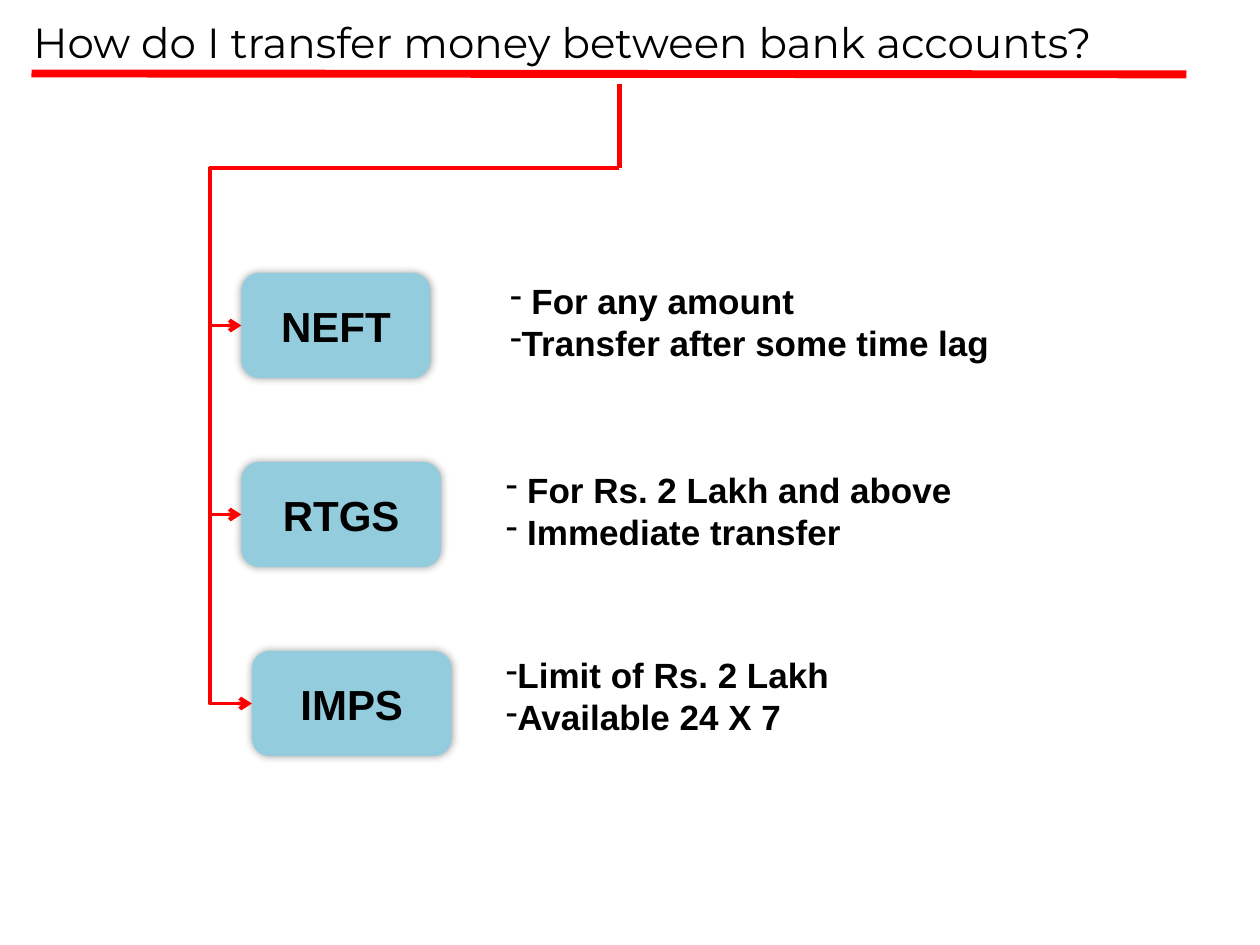
import pptx
import pptx.dml.color
import pptx.enum.shapes
import pptx.enum.text
import pptx.oxml
import pptx.util
from pptx.oxml.ns import nsdecls, qn

Pt = pptx.util.Pt


def color(hex_value):
    return pptx.dml.color.RGBColor.from_string(hex_value)


def drawing_xml(tag, attributes="", content=""):
    """Return a DrawingML element with the given attributes and inner XML."""
    return pptx.oxml.parse_xml(
        f'<a:{tag} {nsdecls("a")} {attributes}>{content}</a:{tag}>')


class TransferSlide:
    RED, BLUE, BLACK = "FF0000", "93CDDD", "000000"
    TITLE = {"name": "Montserrat", "size": Pt(24), "bold": False}
    LABEL = {"name": "Arial", "size": Pt(24), "bold": True}
    NOTE = {"name": "Arial", "size": Pt(20), "bold": True}
    SHADOW = ('<a:outerShdw blurRad="63500" dist="0" algn="ctr" rotWithShape="0">'
              '<a:srgbClr val="000000"><a:alpha val="40000"/></a:srgbClr>'
              '</a:outerShdw>')

    def __init__(self, deck):
        self.slide = deck.slides.add_slide(deck.slide_layouts[6])

    def styled_run(self, paragraph, text, style):
        run = paragraph.add_run()
        run.text = text
        for attribute, value in style.items():
            setattr(run.font, attribute, value)
        run.font.color.rgb = color(self.BLACK)

    def text(self, left, top, width, height, lines, style, bullet=None):
        frame = self.slide.shapes.add_textbox(
            Pt(left), Pt(top), Pt(width), Pt(height)).text_frame
        frame.word_wrap = True
        frame.auto_size = pptx.enum.text.MSO_AUTO_SIZE.SHAPE_TO_FIT_TEXT
        for index, line in enumerate(lines):
            paragraph = frame.add_paragraph() if index else frame.paragraphs[0]
            self.styled_run(paragraph, line, style)
            if bullet:
                properties = paragraph._p.get_or_add_pPr()
                properties.append(drawing_xml("buFontTx"))
                properties.append(drawing_xml("buChar", f'char="{bullet}"'))

    def box(self, left, top, width, height, label):
        box = self.slide.shapes.add_shape(
            pptx.enum.shapes.MSO_SHAPE.ROUNDED_RECTANGLE,
            Pt(left), Pt(top), Pt(width), Pt(height))
        box.fill.solid()
        box.fill.fore_color.rgb = color(self.BLUE)
        box.line.fill.background()
        box._element.spPr.append(drawing_xml("effectLst", content=self.SHADOW))
        box.text_frame.vertical_anchor = pptx.enum.text.MSO_ANCHOR.MIDDLE
        paragraph = box.text_frame.paragraphs[0]
        paragraph.alignment = pptx.enum.text.PP_ALIGN.CENTER
        self.styled_run(paragraph, label, self.LABEL)

    def line(self, start, end, weight, kind="STRAIGHT"):
        connector = self.slide.shapes.add_connector(
            pptx.enum.shapes.MSO_CONNECTOR[kind],
            *(Pt(value) for value in (*start, *end)))
        connector.line.color.rgb = color(self.RED)
        connector.line.width = Pt(weight)
        connector._element.spPr.append(drawing_xml("effectLst"))
        return connector

    def branch(self, start, end, spine):
        """Draw an elbow arrow that runs down the vertical line at x = spine."""
        arrow = self.line(start, end, 2.25, "ELBOW")
        bend = round(100000 * (start[0] - spine) / (start[0] - end[0]))
        guides = arrow._element.spPr.find(qn("a:prstGeom")).get_or_add_avLst()
        guides.append(drawing_xml("gd", f'name="adj1" fmla="val {bend}"'))
        arrow.line._get_or_add_ln().append(drawing_xml("tailEnd", 'type="arrow"'))


def main():
    deck = pptx.Presentation()
    deck.slide_width, deck.slide_height = Pt(720), Pt(540)
    page = TransferSlide(deck)

    page.text(12, 6, 708, 36, ["How do I transfer money between bank accounts?"],
              page.TITLE)
    page.line((18, 42), (678, 42.5), 4.5)

    junction, spine = (354, 96), 120
    page.line(junction, (354, 48), 3)

    box_height, first_top, row_pitch = 60, 156, 108
    # label, box left, box width, note left, note top offset, note width, note lines
    methods = [
        ("NEFT", 138, 108, 284.4, 0, 318,
         [" For any amount", "Transfer after some time lag"]),
        ("RTGS", 138, 114, 282, 0, 282,
         [" For Rs. 2 Lakh and above", " Immediate transfer"]),
        ("IMPS", 144, 114, 282, -2, 282,
         ["Limit of Rs. 2 Lakh", "Available 24 X 7"]),
    ]
    for row, (label, left, width, note_left, offset, note_width, lines) in enumerate(methods):
        top = first_top + row * row_pitch
        page.box(left, top, width, box_height, label)
        page.branch(junction, (left, top + box_height / 2), spine)
        page.text(note_left, top + offset, note_width, 55.7, lines, page.NOTE, "-")

    deck.save("out.pptx")


if __name__ == "__main__":
    main()
